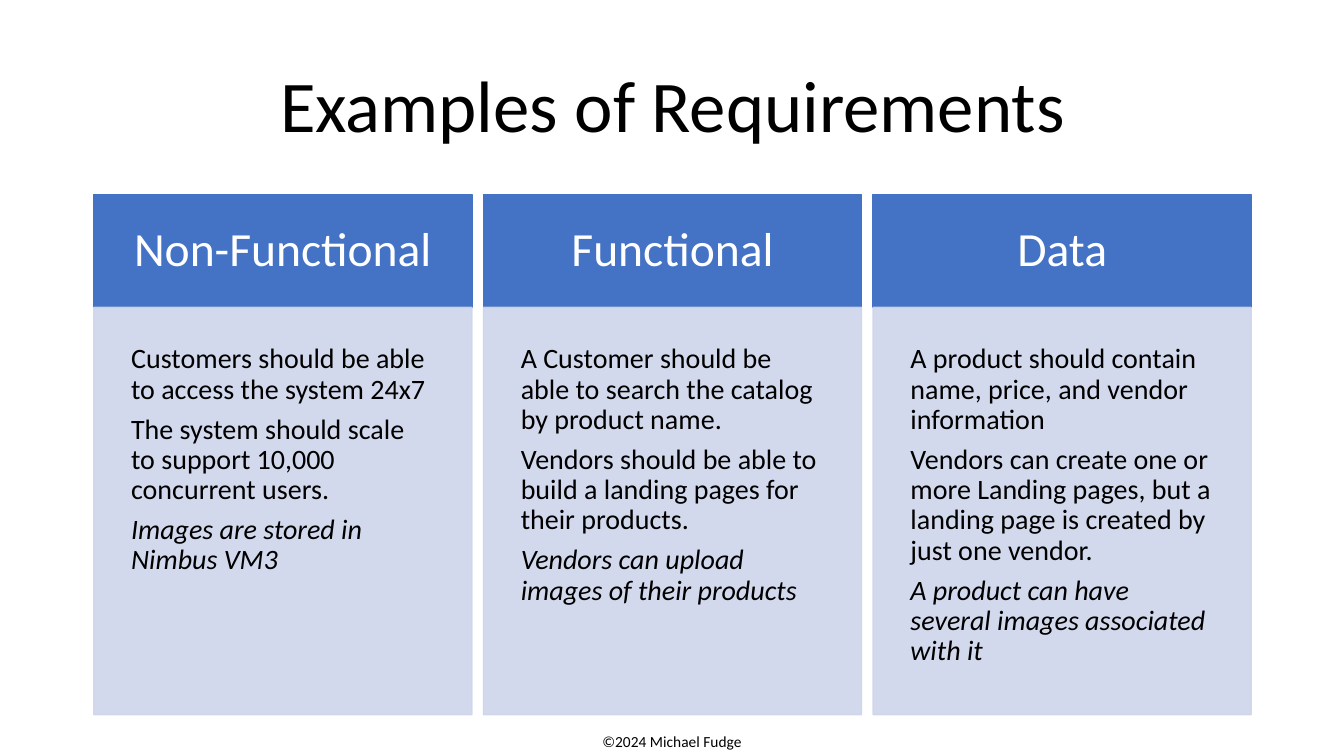
from pptx import Presentation
from pptx.dml.color import RGBColor
from pptx.enum.shapes import MSO_SHAPE
from pptx.enum.text import MSO_ANCHOR, PP_ALIGN
from pptx.oxml.ns import qn
from pptx.util import Inches, Pt
from lxml import etree

RECT = MSO_SHAPE.RECTANGLE
TOP, MIDDLE = MSO_ANCHOR.TOP, MSO_ANCHOR.MIDDLE
LEFT, CENTER = PP_ALIGN.LEFT, PP_ALIGN.CENTER

BLACK = RGBColor(0x00, 0x00, 0x00)
WHITE = RGBColor(0xFF, 0xFF, 0xFF)
BLUE = RGBColor(0x44, 0x72, 0xC4)
PALE = RGBColor(0xCF, 0xD5, 0xEA)

START, STEP, WIDTH = 0.93, 3.865, 3.75
HEAD_TOP, HEAD_HIGH = 1.93, 1.12
BODY_TOP, BODY_HIGH = 3.05, 4.04

# Heading, then its requirements; the last one of each is in italics.
COLUMNS = [
    ("Non-Functional", [
        "Customers should be able to access the system 24x7",
        "The system should scale to support 10,000 concurrent users.",
        "Images are stored in Nimbus VM3",
    ]),
    ("Functional", [
        "A Customer should be able to search the catalog by product name.",
        "Vendors should be able to build a landing pages for their products.",
        "Vendors can upload images of their products",
    ]),
    ("Data", [
        "A product should contain name, price, and vendor information",
        "Vendors can create one or more Landing pages, but a landing page "
        "is created by just one vendor.",
        "A product can have several images associated with it",
    ]),
]


def write(shape, lines, size, color=BLACK, align=CENTER, anchor=MIDDLE,
          pad=(0.1, 0.05), spacing=0.9, after=0, slant_last=False):
    """Fill a shape with paragraphs; pad is the side and top inset in inches."""
    frame = shape.text_frame
    frame.word_wrap = True
    frame.vertical_anchor = anchor
    frame.margin_left = frame.margin_right = Inches(pad[0])
    frame.margin_top = frame.margin_bottom = Inches(pad[1])
    for i, line in enumerate(lines):
        para = frame.paragraphs[0] if i == 0 else frame.add_paragraph()
        para.alignment = align
        para.line_spacing = spacing
        para.space_after = Pt(after)
        run = para.add_run()
        run.text = line
        run.font.name = "Calibri"
        run.font.size = Pt(size)
        run.font.color.rgb = color
        if slant_last and i == len(lines) - 1:
            run.font.italic = True


def add_text(slide, box, text, **style):
    shape = slide.shapes.add_textbox(*map(Inches, box))
    write(shape, [text], **style)


def add_panel(slide, box, color, opacity=100):
    panel = slide.shapes.add_shape(RECT, *map(Inches, box))
    panel.shadow.inherit = False
    panel.fill.solid()
    panel.fill.fore_color.rgb = color
    panel.line.color.rgb = color
    panel.line.width = Pt(1)
    if opacity < 100:
        for tint in panel._element.spPr.iter(qn("a:srgbClr")):
            etree.SubElement(tint, qn("a:alpha"), val=str(opacity * 1000))
    return panel


def add_column(slide, left, heading, needs):
    head = add_panel(slide, (left, HEAD_TOP, WIDTH, HEAD_HIGH), BLUE)
    write(head, [heading], size=34, color=WHITE, pad=(0.3, 0.3))
    body = add_panel(slide, (left, BODY_TOP, WIDTH, BODY_HIGH), PALE, 90)
    write(body, needs, size=20, align=LEFT, anchor=TOP, pad=(0.37, 0.37),
          after=7, slant_last=True)


def main():
    deck = Presentation()
    deck.slide_width, deck.slide_height = Inches(13.33), Inches(7.5)
    slide = deck.slides.add_slide(deck.slide_layouts[6])
    add_text(slide, (5.67, 7.21, 1.99, 0.29), "©2024 Michael Fudge",
             size=11, anchor=TOP, spacing=1.0)
    add_text(slide, (0.92, 0.32, 11.5, 1.53), "Examples of Requirements",
             size=52)
    for i, (heading, needs) in enumerate(COLUMNS):
        add_column(slide, START + i * STEP, heading, needs)
    deck.save("out.pptx")


if __name__ == "__main__":
    main()
